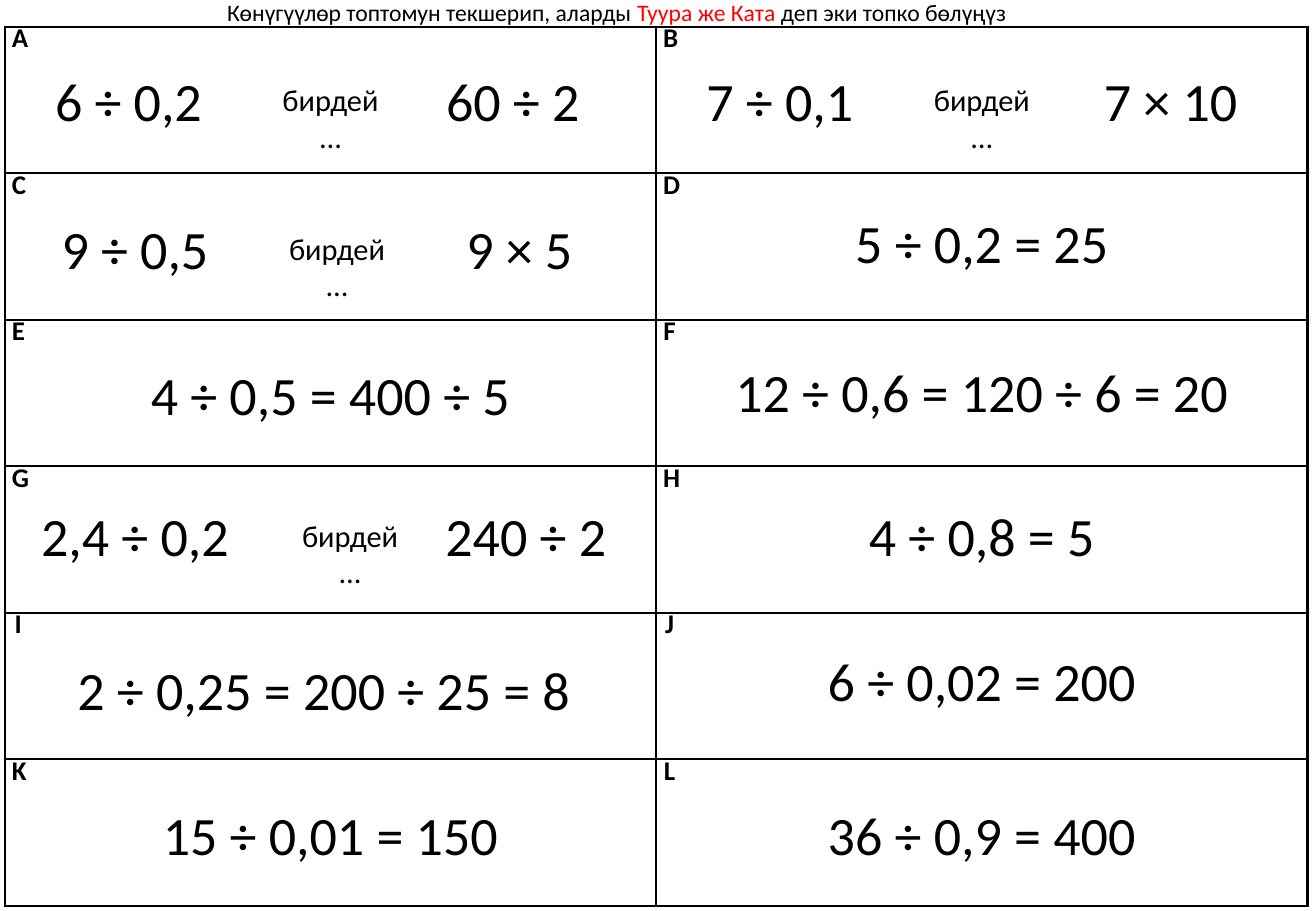
from lxml import etree
from pptx import Presentation
from pptx import util as u
from pptx.dml.color import RGBColor
from pptx.enum import text
from pptx.oxml.ns import qn

BLACK = RGBColor(0x00, 0x00, 0x00)
RED = RGBColor(0xFF, 0x00, 0x00)
WHITE = RGBColor(0xFF, 0xFF, 0xFF)
FONT = "Calibri"

# Content: heading runs, then cards as (letter, vertical centre, [(words, horizontal centre)]);
# centres are shares of the card's height and width
HEADING = [
    ("Көнүгүүлөр топтомун текшерип, аларды ", BLACK),
    ("Туура же Ката", RED),
    (" деп эки топко бөлүңүз", BLACK),
]
SAME = "бирдей…"
CARDS = [
    ("A", 0.5, [("6 ÷ 0,2", 0.19), (SAME, 0.5), ("60 ÷ 2", 0.78)]),
    ("B", 0.5, [("7 ÷ 0,1", 0.19), (SAME, 0.5), ("7 × 10", 0.79)]),
    ("C", 0.51, [("9 ÷ 0,5", 0.2), (SAME, 0.51), ("9 × 5", 0.79)]),
    ("D", 0.47, [("5 ÷ 0,2 = 25", 0.5)]),
    ("E", 0.51, [("4 ÷ 0,5 = 400 ÷ 5", 0.5)]),
    ("F", 0.49, [("12 ÷ 0,6 = 120 ÷ 6 = 20", 0.5)]),
    ("G", 0.47, [("2,4 ÷ 0,2", 0.2), (SAME, 0.53), ("240 ÷ 2", 0.8)]),
    ("H", 0.47, [("4 ÷ 0,8 = 5", 0.5)]),
    ("I", 0.52, [("2 ÷ 0,25 = 200 ÷ 25 = 8", 0.49)]),
    ("J", 0.46, [("6 ÷ 0,02 = 200", 0.5)]),
    ("K", 0.51, [("15 ÷ 0,01 = 150", 0.5)]),
    ("L", 0.51, [("36 ÷ 0,9 = 400", 0.5)]),
]

# Grid, in inches
SLIDE_W, SLIDE_H = 10.83, 7.5
COLS = 2
ROWS = len(CARDS) // COLS
GRID_X, GRID_Y, GRID_W, GRID_H = 0.04, 0.22, 10.72, 7.24
CARD_W, CARD_H = GRID_W / COLS, GRID_H / ROWS
INSET = 0.1
EM_WIDTHS = {" ": 0.23, ",": 0.25, "…": 0.69}  # every other character: 0.51


def style(run, size, color=BLACK, bold=False):
    run.font.name, run.font.size, run.font.bold = FONT, u.Pt(size), bold
    run.font.color.rgb = color


def add_words(slide, words, left, top, width, height, size, bold=False, wrap=False):
    box = slide.shapes.add_textbox(*map(u.Inches, (left, top, width, height)))
    frame = box.text_frame
    frame.text = words
    frame.word_wrap = wrap
    frame.auto_size = text.MSO_AUTO_SIZE.SHAPE_TO_FIT_TEXT
    paragraph = frame.paragraphs[0]
    paragraph.alignment = text.PP_ALIGN.CENTER
    style(paragraph.runs[0], size, bold=bold)
    return paragraph


def add_borders(cell):
    properties = cell._tc.get_or_add_tcPr()
    for position, side in enumerate(("lnL", "lnR", "lnT", "lnB")):
        line = etree.Element(qn(f"a:{side}"), w=str(u.Pt(1.5)))
        fill = etree.SubElement(line, qn("a:solidFill"))
        etree.SubElement(fill, qn("a:srgbClr"), val=str(BLACK))
        properties.insert(position, line)


def add_heading(slide):
    heading = slide.shapes.title
    heading.left, heading.top = u.Inches(1.77), u.Inches(-0.07)
    heading.width, heading.height = u.Inches(6.68), u.Inches(0.34)
    frame = heading.text_frame
    frame.word_wrap = False
    frame.auto_size = text.MSO_AUTO_SIZE.SHAPE_TO_FIT_TEXT
    frame.vertical_anchor = text.MSO_ANCHOR.TOP
    paragraph = frame.paragraphs[0]
    paragraph.alignment = text.PP_ALIGN.LEFT
    for words, color in HEADING:
        run = paragraph.add_run()
        run.text = words
        style(run, 14, color)


def add_grid(slide):
    area = map(u.Inches, (GRID_X, GRID_Y, GRID_W, GRID_H))
    grid = slide.shapes.add_table(ROWS, COLS, *area).table
    grid.first_row = grid.horz_banding = False
    for cell in grid.iter_cells():
        cell.fill.solid()
        cell.fill.fore_color.rgb = WHITE
        add_borders(cell)


def add_card(slide, index, letter, middle, parts):
    row, col = divmod(index, COLS)
    left, top = GRID_X + col * CARD_W, GRID_Y + row * CARD_H
    label = add_words(slide, letter, left - 0.04, top, 0.3, 0.29, 16, bold=True, wrap=True)
    label.line_spacing = u.Pt(12)
    for words, centre in parts:
        size, height = (18, 0.4) if words == SAME else (32, 0.64)
        ems = sum(EM_WIDTHS.get(char, 0.51) for char in words)
        width = ems * size / 72 + 2 * INSET
        add_words(slide, words, left + centre * CARD_W - width / 2,
                  top + middle * CARD_H - height / 2, width, height, size)


def main():
    deck = Presentation()
    deck.slide_width, deck.slide_height = u.Inches(SLIDE_W), u.Inches(SLIDE_H)
    slide = deck.slides.add_slide(deck.slide_layouts[5])
    add_heading(slide)
    add_grid(slide)
    for index, card in enumerate(CARDS):
        add_card(slide, index, *card)
    deck.save("out.pptx")


if __name__ == "__main__":
    main()
